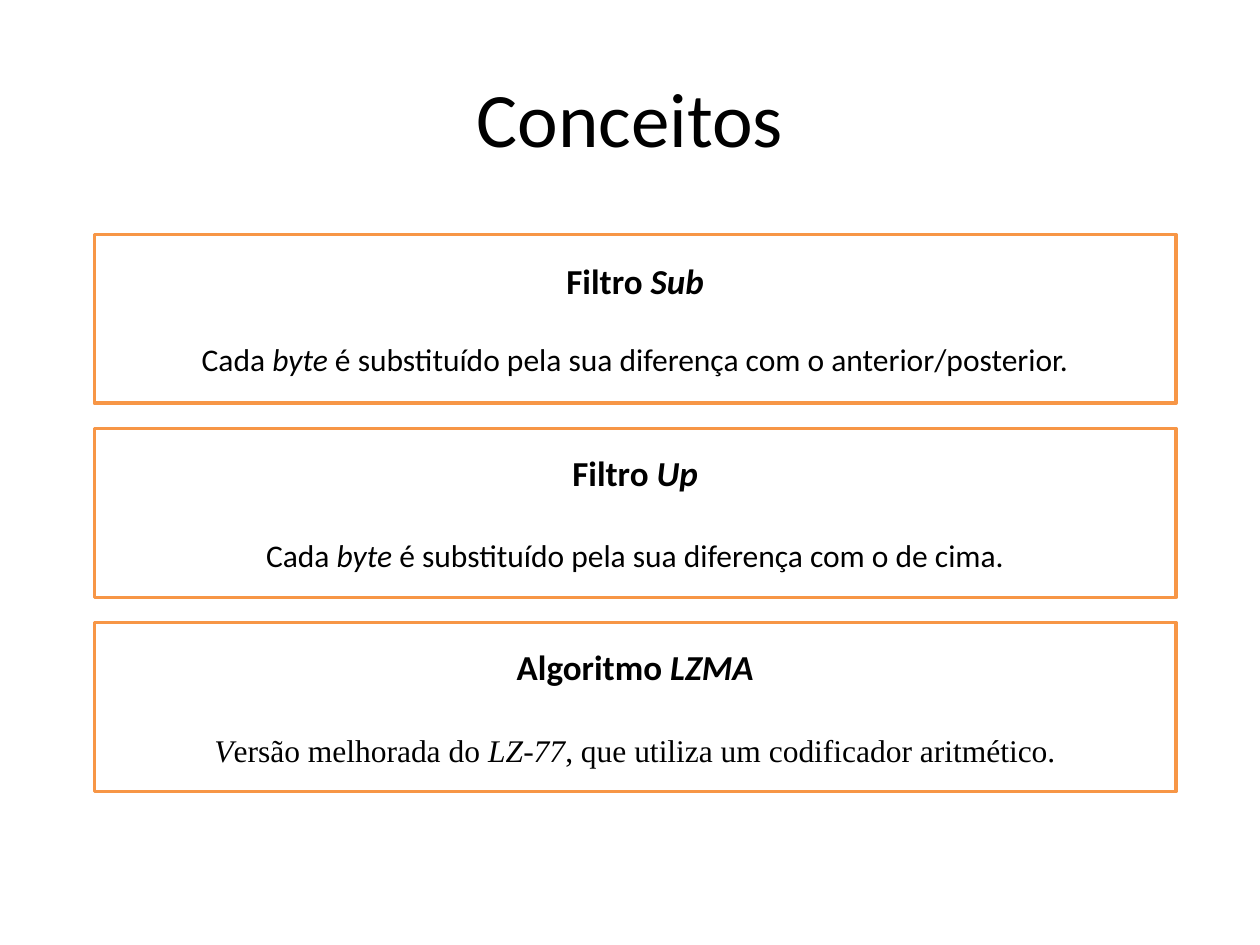
import pptx
import pptx.util
import pptx.dml.color
import pptx.enum.shapes
import pptx.enum.text

Pt = pptx.util.Pt

INK, PAPER, ORANGE = "000000", "FFFFFF", "F79646"
SANS, SERIF = "Calibri", "Times New Roman"

# Runs are (text, italic); gap is the space between heading and body.
TITLE = [("Conceitos", False)]
CONCEPTS = [
    {"heading": [("Filtro ", False), ("Sub", True)], "gap": 22, "font": SANS,
     "body": [("Cada ", False), ("byte", True),
              (" é substituído pela sua diferença com o anterior/posterior.", False)]},
    {"heading": [("Filtro ", False), ("Up", True)], "gap": 24.4, "font": SANS,
     "body": [("Cada ", False), ("byte", True),
              (" é substituído pela sua diferença com o de cima.", False)]},
    {"heading": [("Algoritmo ", False), ("LZMA", True)], "gap": 24.4, "font": SERIF,
     "body": [("V", True), ("ersão melhorada do ", False), ("LZ-77", True),
              (", que utiliza um codificador aritmético", False), (".", True)]},
]
BOX_LEFT, BOX_TOP, BOX_WIDTH, BOX_HEIGHT, BOX_PITCH = 54, 134, 618, 96.5, 110.9


def color(hex_value):
    """Turn a hex string into a colour."""
    return pptx.dml.color.RGBColor.from_string(hex_value)


def centre_frame(s):
    """Return the shape's wrapping, vertically centred text frame."""
    tf = s.text_frame
    tf.word_wrap = True
    tf.vertical_anchor = pptx.enum.text.MSO_ANCHOR.MIDDLE
    return tf


def write(p, runs, size, font=SANS, bold=False):
    """Fill a centred paragraph run by run."""
    p.alignment = pptx.enum.text.PP_ALIGN.CENTER
    for text, italic in runs:
        r = p.add_run()
        r.text = text
        r.font.name, r.font.size = font, Pt(size)
        r.font.bold, r.font.italic = bold, italic
        r.font.color.rgb = color(INK)


def add_concept(slide, concept, top):
    """Draw one outlined box with its heading and body."""
    s = slide.shapes.add_shape(
        pptx.enum.shapes.MSO_SHAPE.RECTANGLE,
        Pt(BOX_LEFT), Pt(top), Pt(BOX_WIDTH), Pt(BOX_HEIGHT))
    s.shadow.inherit = False
    s.fill.solid()
    s.fill.fore_color.rgb = color(PAPER)
    s.line.color.rgb = color(ORANGE)
    s.line.width = Pt(2)
    tf = centre_frame(s)
    p = tf.paragraphs[0]
    p.space_after = Pt(concept["gap"])
    write(p, concept["heading"], 20, bold=True)
    write(tf.add_paragraph(), concept["body"], 18, concept["font"])


prs = pptx.Presentation()
prs.slide_width, prs.slide_height = Pt(720), Pt(540)
slide = prs.slides.add_slide(prs.slide_layouts[6])

title = slide.shapes.add_textbox(Pt(36), Pt(21.6), Pt(648), Pt(90))
write(centre_frame(title).paragraphs[0], TITLE, 44)

for i, concept in enumerate(CONCEPTS):
    add_concept(slide, concept, BOX_TOP + i * BOX_PITCH)

prs.save("out.pptx")
